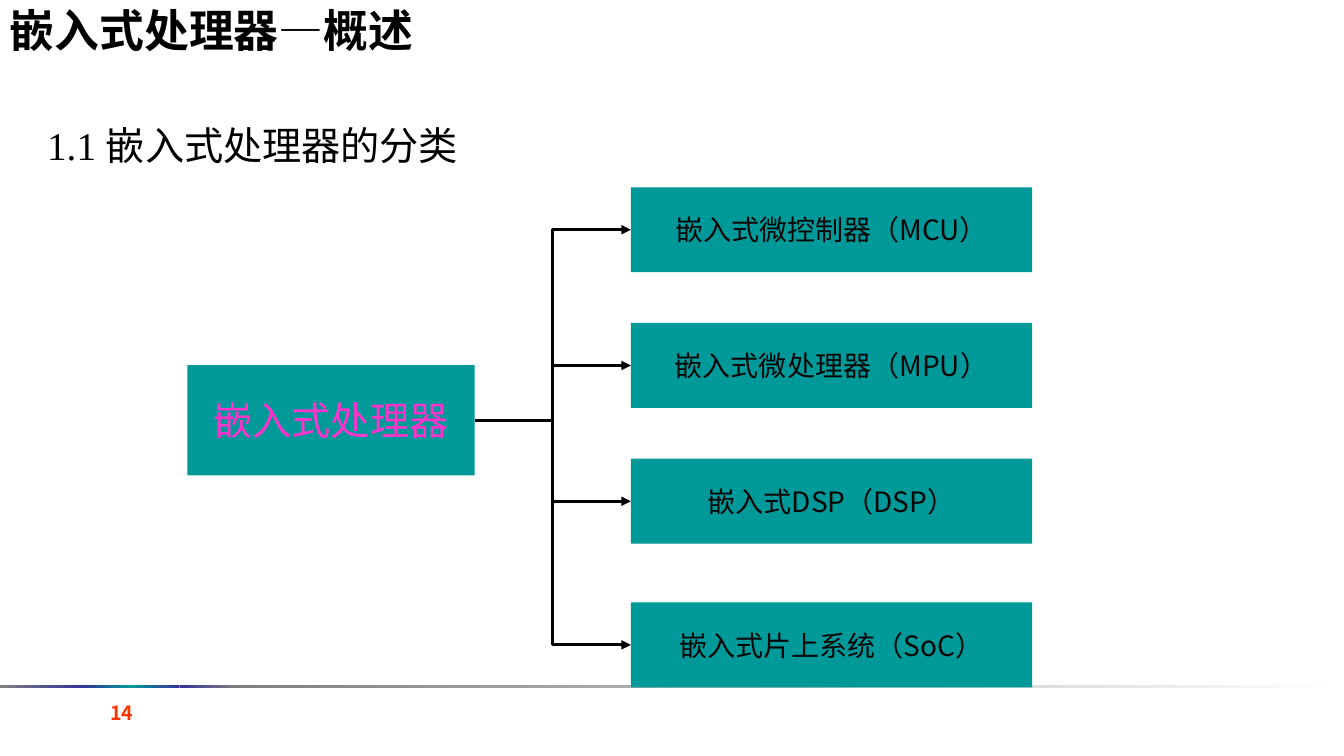
from lxml import etree
from pptx import Presentation
from pptx.dml.color import RGBColor
from pptx.enum.shapes import MSO_CONNECTOR as CONN, MSO_SHAPE as SHAPE
from pptx.enum.text import MSO_ANCHOR as ANCHOR, PP_ALIGN as ALIGN
from pptx.oxml.ns import qn
from pptx.util import Cm, Pt

SANS, SERIF = "Noto Sans CJK SC", "Times New Roman"
BLACK, TEAL, NAVY, GRAY, WHITE = "000000", "009999", "333399", "808080", "FFFFFF"


def rgb(value):
    return RGBColor.from_string(value)


def write(tf, text, size=20, color=BLACK, bold=False, font=SANS,
          align=ALIGN.LEFT, anchor=ANCHOR.MIDDLE, wrap=True):
    tf.word_wrap = wrap
    tf.vertical_anchor = anchor
    p = tf.paragraphs[0]
    p.alignment = align
    r = p.add_run()
    r.text = text
    r.font.size, r.font.bold, r.font.name = Pt(size), bold, font
    r.font.color.rgb = rgb(color)
    etree.SubElement(r.font._element, qn("a:ea")).set("typeface", SANS)


def add_text(s, box, text, **fmt):
    sp = s.shapes.add_textbox(*map(Cm, box))
    write(sp.text_frame, text, **fmt)
    return sp.text_frame


def add_box(s, box, fill=None):
    sp = s.shapes.add_shape(SHAPE.RECTANGLE, *map(Cm, box))
    sp.shadow.inherit = False
    sp.line.fill.background()
    if fill:
        sp.fill.solid()
        sp.fill.fore_color.rgb = rgb(fill)
    return sp


def add_label(s, box, text, **fmt):
    sp = add_box(s, box, TEAL)
    write(sp.text_frame, text, align=ALIGN.CENTER, wrap=False, **fmt)


def add_arrow(s, kind, *ends):
    cn = s.shapes.add_connector(kind, *map(Cm, ends))
    cn.line.color.rgb = rgb(BLACK)
    cn.line.width = Pt(2.25)
    etree.SubElement(cn.line._get_or_add_ln(), qn("a:tailEnd")).set("type", "triangle")
    etree.SubElement(cn._element.spPr, qn("a:effectLst"))
    return cn


def add_corner_arrow(s, x1, y1, x2, y2):
    cx, cy = (x1 + x2) / 2, (y1 + y2) / 2
    half_w, half_h = (y2 - y1) / 2, (x2 - x1) / 2
    cn = add_arrow(s, CONN.ELBOW, cx + half_w, cy - half_h, cx - half_w, cy + half_h)
    spPr = cn._element.spPr
    spPr.find(qn("a:xfrm")).set("rot", "16200000")
    spPr.find(qn("a:prstGeom")).set("prst", "bentConnector2")


def add_gradient(s, box, colors):
    sp = add_box(s, box)
    sp.fill.gradient()
    sp.fill.gradient_angle = 0
    stops = sp._element.spPr.find(qn("a:gradFill")).find(qn("a:gsLst"))
    for gs in list(stops):
        stops.remove(gs)
    for i, color in enumerate(colors):
        gs = etree.SubElement(stops, qn("a:gs"), pos=str(100000 * i // (len(colors) - 1)))
        etree.SubElement(gs, qn("a:srgbClr"), val=color)


def footer_rule(s, x, y, w, h):
    edges = [0, 2.06, 4.52, 5.99, w]
    blends = [(GRAY, NAVY), (NAVY, TEAL, NAVY), (NAVY, GRAY), (GRAY, WHITE)]
    for start, end, colors in zip(edges, edges[1:], blends):
        add_gradient(s, (x + start, y, end - start, h), colors)


def title(s, x, y, w, h):
    tf = add_text(s, (x, y, w, h), "嵌入式处理器", size=32, bold=True, anchor=ANCHOR.TOP)
    write(tf, "—", size=32, font=SERIF, anchor=ANCHOR.TOP)
    write(tf, "概述", size=32, bold=True, anchor=ANCHOR.TOP)


def processor_tree(s, x, y, w, h):
    root_w, root_h, leaf_w, leaf_h, pitch = 7.24, 2.78, 10.11, 2.14, 3.42
    leaf_x = x + w - leaf_w
    trunk_x = (x + root_w + leaf_x) / 2
    root_y = y + 4.48
    root_mid = root_y + root_h / 2
    tops = [y, y + pitch, y + 2 * pitch, y + h - leaf_h]
    names = ["嵌入式微控制器（MCU）", "嵌入式微处理器（MPU）",
             "嵌入式DSP（DSP）", "嵌入式片上系统（SoC）"]

    add_label(s, (x, root_y, root_w, root_h), "嵌入式处理器", size=28, color="FF33CC")
    for top, name in zip(tops, names):
        add_label(s, (leaf_x, top, leaf_w, leaf_h), name, color="060606")

    first, second, third, last = [top + leaf_h / 2 for top in tops]
    add_arrow(s, CONN.ELBOW, x + root_w, root_mid, leaf_x, first)
    add_corner_arrow(s, trunk_x, root_mid, leaf_x, last)
    for mid in (second, third):
        add_arrow(s, CONN.STRAIGHT, trunk_x, mid, leaf_x, mid)


def main():
    prs = Presentation()
    prs.slide_width, prs.slide_height = Cm(33.87), Cm(19.05)
    s = prs.slides.add_slide(prs.slide_layouts[6])
    footer_rule(s, 0, 17.27, 33.87, 0.06)
    add_text(s, (0.94, 2.51, 20.96, 2.26), "1.1 嵌入式处理器的分类", size=28, font=SERIF)
    processor_tree(s, 4.72, 4.72, 21.29, 12.6)
    add_text(s, (0, 17.53, 3.61, 1.27), "14", size=14, color="FF3300", bold=True,
             align=ALIGN.RIGHT, anchor=ANCHOR.TOP)
    title(s, 0, -0.05, 20.96, 1.85)
    prs.save("out.pptx")


if __name__ == "__main__":
    main()
